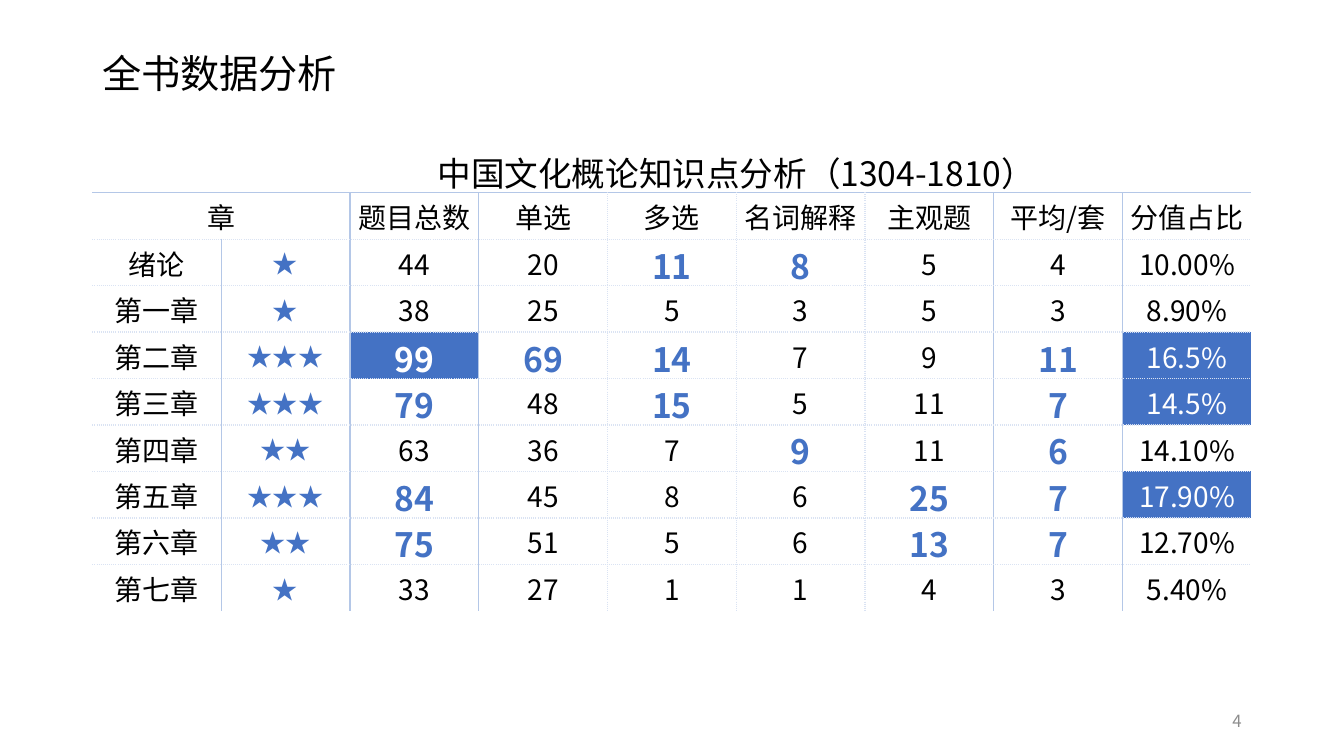
from lxml.etree import SubElement
from pptx import Presentation
from pptx.dml.color import RGBColor
from pptx.enum.text import MSO_ANCHOR, PP_ALIGN
from pptx.oxml.ns import qn
from pptx.util import Pt

FONT = "Noto Sans CJK SC"
BLACK = RGBColor(0x00, 0x00, 0x00)
WHITE = RGBColor(0xFF, 0xFF, 0xFF)
GRAY = RGBColor(0x8C, 0x8C, 0x8C)
BLUE = RGBColor(0x44, 0x72, 0xC4)
RULE_BLUE = RGBColor(0xB4, 0xC7, 0xE7)
PALE_BLUE = RGBColor(0xDA, 0xE3, 0xF3)

SOLID = (RULE_BLUE, "solid")
DOTTED = (PALE_BLUE, "sysDot")
SOLID_COLUMN_EDGES = {1, 2, 3, 7, 8}
STAR_COLUMN = 1

CHAPTERS = [
    ["", "中国文化概论知识点分析（1304-1810）"] + [""] * 7,
    ["章", "", "题目总数", "单选", "多选", "名词解释", "主观题", "平均/套", "分值占比"],
    ["绪论", "★", "44", "20", "11", "8", "5", "4", "10.00%"],
    ["第一章", "★", "38", "25", "5", "3", "5", "3", "8.90%"],
    ["第二章", "★★★", "99", "69", "14", "7", "9", "11", "16.5%"],
    ["第三章", "★★★", "79", "48", "15", "5", "11", "7", "14.5%"],
    ["第四章", "★★", "63", "36", "7", "9", "11", "6", "14.10%"],
    ["第五章", "★★★", "84", "45", "8", "6", "25", "7", "17.90%"],
    ["第六章", "★★", "75", "51", "5", "6", "13", "7", "12.70%"],
    ["第七章", "★", "33", "27", "1", "1", "4", "3", "5.40%"],
]
MERGES = [((0, 1), (0, 8)), ((1, 0), (1, 1))]
STRONG_COLUMNS = {2: {4, 5}, 4: {2, 3, 4, 7}, 5: {2, 4, 7},
                  6: {5, 7}, 7: {2, 6, 7}, 8: {2, 6, 7}}
FILLED = {(4, 2), (4, 8), (5, 8), (7, 8)}


def row_edge(edge):
    """Return the rule drawn along a horizontal edge of the grid."""
    if edge in (0, len(CHAPTERS)):
        return None
    return SOLID if edge == 1 else DOTTED


def column_edge(row, edge):
    """Return the rule drawn along a vertical edge of one row."""
    if row == 0 or edge in (0, len(CHAPTERS[0])) or (row, edge) == (1, 1):
        return None
    return SOLID if edge in SOLID_COLUMN_EDGES else DOTTED


def text_style(row, column):
    """Return size, colour and weight of the text in a cell."""
    strong = column in STRONG_COLUMNS.get(row, ())
    if row == 0:
        return 24, BLACK, False
    if (row, column) in FILLED:
        return (24 if strong else 20), WHITE, strong
    if strong:
        return 24, BLUE, True
    if column == STAR_COLUMN:
        return 18, BLUE, False
    return 20, BLACK, False


class SlideBuilder:
    """Holds the font and the slide, and adds elements to it."""

    def __init__(self, slide, font):
        """Keep the slide and the font used on it."""
        self.slide = slide
        self.font = font

    def paragraph(self, frame, content, size, color, bold=False, align=PP_ALIGN.LEFT):
        """Put one styled paragraph into a text frame."""
        paragraph = frame.paragraphs[0]
        paragraph.alignment = align
        run = paragraph.add_run()
        run.text = content
        run.font.color.rgb = color
        for name, value in {"name": self.font, "size": Pt(size), "bold": bold}.items():
            setattr(run.font, name, value)
        SubElement(run.font._element, qn("a:ea"), typeface=self.font)
        return paragraph

    def text(self, box, content, size, color, align=PP_ALIGN.LEFT):
        """Add a text box and return its paragraph."""
        frame = self.slide.shapes.add_textbox(*map(Pt, box)).text_frame
        for name, value in {"word_wrap": True, "vertical_anchor": MSO_ANCHOR.MIDDLE}.items():
            setattr(frame, name, value)
        return self.paragraph(frame, content, size, color, align=align)

    def border(self, cell, side, rule):
        """Draw one side of a cell, or clear it."""
        line = SubElement(cell._tc.get_or_add_tcPr(), qn(f"a:{side}"), w=str(Pt(1)))
        if rule is None:
            SubElement(line, qn("a:noFill"))
            return
        color, dash = rule
        fill = SubElement(line, qn("a:solidFill"))
        SubElement(fill, qn("a:srgbClr"), val=str(color))
        SubElement(line, qn("a:prstDash"), val=dash)

    def cell(self, cell, row, column, content):
        """Format and fill one cell of the chapter table."""
        layout = {"margin_left": Pt(0.75), "margin_right": Pt(0.75),
                  "margin_top": Pt(0.75), "margin_bottom": Pt(0),
                  "vertical_anchor": MSO_ANCHOR.MIDDLE}
        for name, value in layout.items():
            setattr(cell, name, value)
        rules = {"lnL": column_edge(row, column), "lnR": column_edge(row, column + 1),
                 "lnT": row_edge(row), "lnB": row_edge(row + 1)}
        for side, rule in rules.items():
            self.border(cell, side, rule)
        if (row, column) in FILLED:
            cell.fill.solid()
            cell.fill.fore_color.rgb = BLUE
        else:
            cell.fill.background()
        if content:
            self.paragraph(cell.text_frame, content, *text_style(row, column), PP_ALIGN.CENTER)

    def table(self, box, rows, merges):
        """Add a table with equal columns and rows."""
        frame = self.slide.shapes.add_table(len(rows), len(rows[0]), *map(Pt, box))
        table = frame.table
        for name in ("first_row", "horz_banding"):
            setattr(table, name, False)
        for first, last in merges:
            table.cell(*first).merge(table.cell(*last))
        for row, contents in enumerate(rows):
            for column, content in enumerate(contents):
                self.cell(table.cell(row, column), row, column, content)


def main():
    """Build the chapter analysis slide."""
    deck = Presentation()
    deck.slide_width, deck.slide_height = Pt(960), Pt(540)
    builder = SlideBuilder(deck.slides.add_slide(deck.slide_layouts[6]), FONT)
    title = builder.text((66, 28.8, 828, 51), "全书数据分析", 28, BLACK)
    title.line_spacing = 0.9
    builder.text((678, 500.5, 216, 28.8), "4", 12, GRAY, PP_ALIGN.RIGHT)
    builder.table((66, 104.4, 828, 332), CHAPTERS, MERGES)
    deck.save("out.pptx")


if __name__ == "__main__":
    main()
